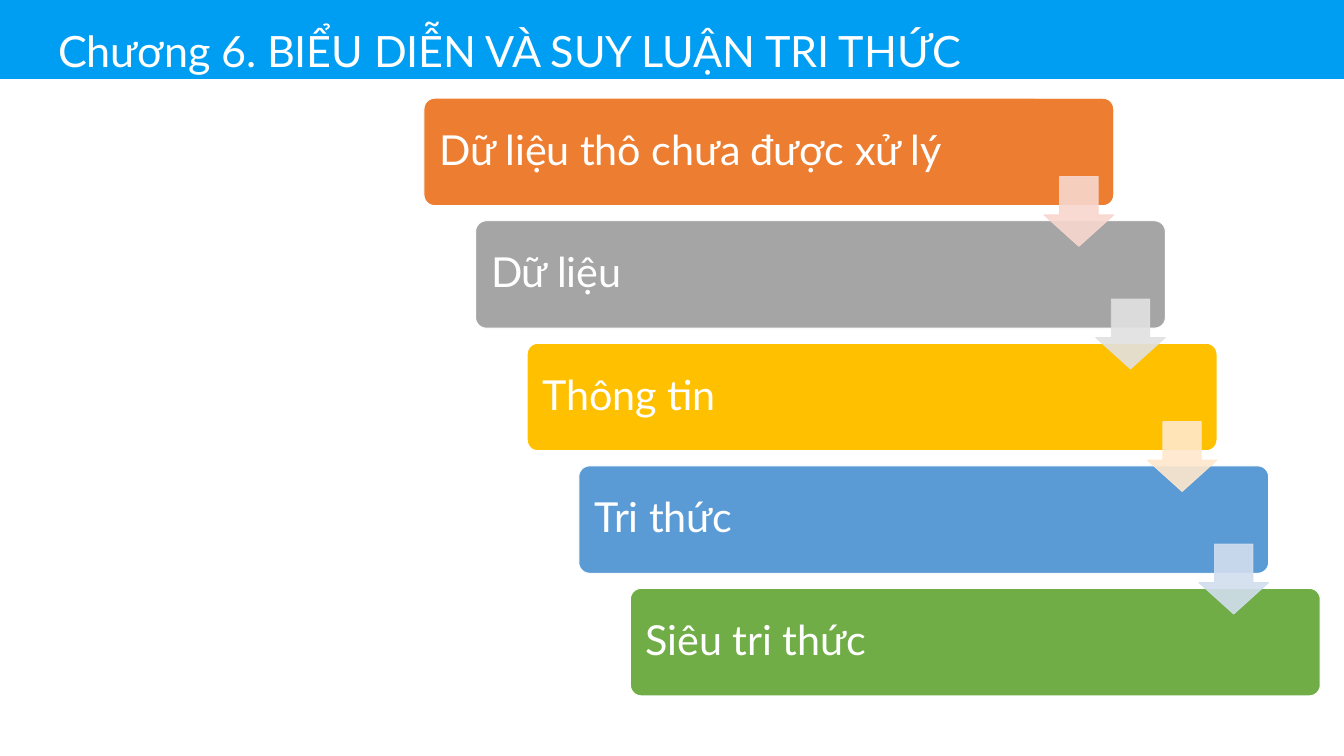
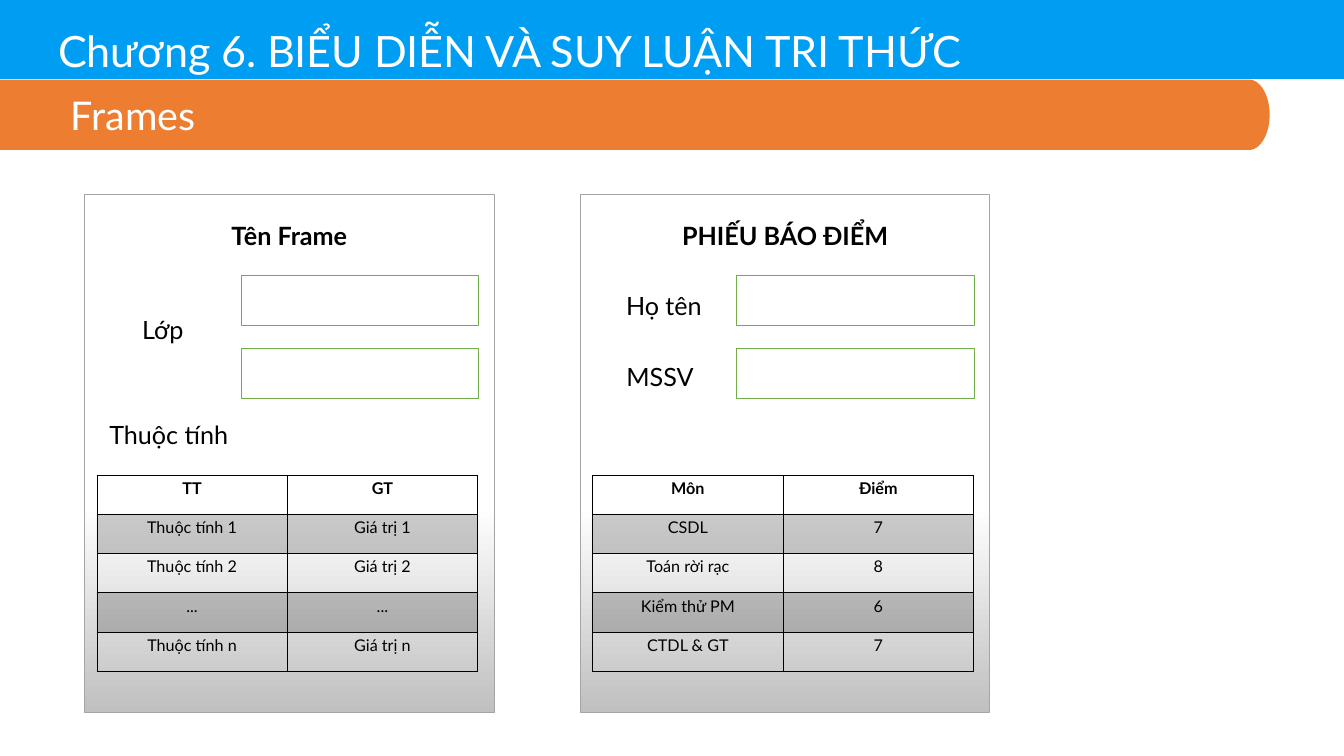
from dataclasses import dataclass
from math import cos, pi, sin

from lxml import etree
from pptx import Presentation
from pptx import util as u
from pptx.dml.color import RGBColor
from pptx.enum import shapes, text
from pptx.oxml.ns import qn


@dataclass(frozen=True)
class Theme:
    font: str = "Lato"
    band: str = "009EF3"
    accent: str = "ED7D31"
    white: str = "FFFFFF"
    ink: str = "000000"
    card_shade: str = "C0C0C0"
    card_line: str = "A5A5A5"
    field_line: str = "70AD47"
    title_size: int = 48
    step_size: int = 46
    topic_size: int = 44
    label_size: int = 28
    table_size: int = 18


THEME = Theme()
WIDTH, HEIGHT = u.Inches(20.79), u.Inches(11.69)

CHAPTER = "Chương 6. BIỂU DIỄN VÀ SUY LUẬN TRI THỨC"
TOPIC = "Frames"
STEPS = [
    ("Dữ liệu thô chưa được xử lý", THEME.accent, "F8D7CE"),
    ("Dữ liệu", "A5A5A5", "E1E1E1"),
    ("Thông tin", "FFC000", "FFE8CC"),
    ("Tri thức", "5B9BD5", "D2DEEF"),
    ("Siêu tri thức", "70AD47", None),
]
FRAMES = [
    {
        "heading": "Tên Frame",
        "labels": [("Lớp", 0.91, 41.15, 9.81), ("Thuộc tính", 0.87, 55.09, 10.77)],
        "rows": [
            ("TT", "GT"),
            ("Thuộc tính 1", "Giá trị 1"),
            ("Thuộc tính 2", "Giá trị 2"),
            ("...", "..."),
            ("Thuộc tính n", "Giá trị n"),
        ],
    },
    {
        "heading": "PHIẾU BÁO ĐIỂM",
        "labels": [("Họ tên", 1.3, 37.98, 9.81), ("MSSV", 1.01, 47.31, 9.81)],
        "rows": [
            ("Môn", "Điểm"),
            ("CSDL", "7"),
            ("Toán rời rạc", "8"),
            ("Kiểm thử PM", "6"),
            ("CTDL & GT", "7"),
        ],
    },
]


def across(share):
    return u.Emu(round(WIDTH * share / 100))


def down(share):
    return u.Emu(round(HEIGHT * share / 100))


def place(x, y, w, h):
    return across(x), down(y), across(w), down(h)


def rgb(color):
    return RGBColor.from_string(color)


def fade(colors, percent):
    for color in colors:
        etree.SubElement(color, qn("a:alpha")).set("val", str(percent * 1000))


def paint(shape, fill, line=None, weight=1):
    shape.shadow.inherit = False
    if fill:
        shape.fill.solid()
        shape.fill.fore_color.rgb = rgb(fill)
    if line:
        shape.line.color.rgb = rgb(line)
        shape.line.width = u.Pt(weight)
    else:
        shape.line.fill.background()


def write(frame, words, size, color, align=text.PP_ALIGN.LEFT, bold=False,
          tight=False, indent=0):
    paragraph = frame.paragraphs[0]
    paragraph.text = words
    paragraph.alignment = align
    if indent:
        paragraph._p.get_or_add_pPr().set("marL", str(indent))
    font = paragraph.font
    font.name, font.size, font.bold = THEME.font, u.Pt(size), bold
    font.color.rgb = rgb(color)
    if tight:
        paragraph._p.pPr.find(qn("a:defRPr")).set("spc", "-10")
    return paragraph


def inset(frame, left, top, right, bottom):
    frame.margin_left, frame.margin_top = u.Inches(left), u.Inches(top)
    frame.margin_right, frame.margin_bottom = u.Inches(right), u.Inches(bottom)


def add_box(slide, kind, area, fill, line=None, weight=1):
    box = slide.shapes.add_shape(kind, *place(*area))
    paint(box, fill, line, weight)
    return box


def add_label(slide, words, area, bold=False):
    frame = slide.shapes.add_textbox(*place(*area)).text_frame
    frame.word_wrap = True
    write(frame, words, THEME.label_size, THEME.ink, text.PP_ALIGN.CENTER, bold)


def new_slide(deck):
    slide = deck.slides.add_slide(deck.slide_layouts[6])
    add_box(slide, shapes.MSO_SHAPE.RECTANGLE, (0, 0, 100, 10.44), THEME.band)
    chapter = slide.shapes.add_textbox(*place(4.28, 2.99, 90.19, 7.01)).text_frame
    chapter.word_wrap = True
    inset(chapter, 0.01, 0.02, 0, 0)
    write(chapter, CHAPTER, THEME.title_size, THEME.white, tight=True)
    return slide


def add_staircase(slide):
    left, top, wide, high = 31.55, 13, 51.32, 14.2
    shift, drop = 3.84, 16.21
    arrow_wide, arrow_high, arrow_drop = 5.19, 9.24, 10.35
    for i, (words, fill, _) in enumerate(STEPS):
        area = (left + i * shift, top + i * drop, wide, high)
        step = add_box(slide, shapes.MSO_SHAPE.ROUNDED_RECTANGLE, area, fill, THEME.white)
        step.adjustments[0] = 0.1
        frame = step.text_frame
        frame.word_wrap = True
        frame.vertical_anchor = text.MSO_ANCHOR.MIDDLE
        inset(frame, 0.19, 0.19, 0.19, 0.19)
        write(frame, words, THEME.step_size, THEME.white, tight=True).line_spacing = 0.9
    for i, (_, _, tint) in enumerate(STEPS[:-1]):
        area = (left + i * shift + wide - arrow_wide, top + i * drop + arrow_drop,
                arrow_wide, arrow_high)
        arrow = add_box(slide, shapes.MSO_SHAPE.DOWN_ARROW, area, tint, tint)
        arrow.adjustments[0], arrow.adjustments[1] = 0.55, 0.45
        fade(list(arrow._element.spPr.iter(qn("a:srgbClr"))), 90)


def add_topic(slide):
    top, wide, high, bulge = 10.52, 94.47, 9.32, 1.54
    turns = [pi * i / 48 - pi / 2 for i in range(49)]
    rim = [(across(wide - bulge + bulge * cos(t)), down(top + high / 2 * (1 + sin(t))))
           for t in turns]
    outline = slide.shapes.build_freeform(0, down(top))
    outline.add_line_segments(rim + [(0, down(top + high))], close=True)
    ribbon = outline.convert_to_shape()
    paint(ribbon, THEME.accent)
    ribbon.text_frame.vertical_anchor = text.MSO_ANCHOR.MIDDLE
    write(ribbon.text_frame, TOPIC, THEME.topic_size, THEME.white, indent=u.Inches(1))


def border(cell, bottom):
    props = cell._tc.get_or_add_tcPr()
    for side, weight in (("L", 1), ("R", 1), ("T", 1), ("B", bottom)):
        edge = etree.SubElement(props, qn("a:ln" + side), w=str(u.Pt(weight)))
        solid = etree.SubElement(edge, qn("a:solidFill"))
        etree.SubElement(solid, qn("a:srgbClr"), val=THEME.ink)


def add_grid(slide, rows, area):
    table = slide.shapes.add_table(len(rows), len(rows[0]), *place(*area)).table
    table.first_row = table.horz_banding = False
    for r, values in enumerate(rows):
        for c, value in enumerate(values):
            cell = table.cell(r, c)
            border(cell, 2 if r == 0 else 1)
            if r % 2:
                cell.fill.solid()
                cell.fill.fore_color.rgb = rgb(THEME.ink)
                fade([cell._tc.tcPr.find(qn("a:solidFill"))[0]], 20)
            else:
                cell.fill.background()
            write(cell.text_frame, value, THEME.table_size, THEME.ink,
                  text.PP_ALIGN.CENTER, bold=r == 0)


def add_card(slide, frame, left):
    card = add_box(slide, shapes.MSO_SHAPE.RECTANGLE, (left, 25.75, 30.45, 68.43),
                   None, THEME.card_line, 0.5)
    card.fill.gradient()
    card.fill.gradient_angle = 270
    stops = ((0.6, THEME.white), (1, THEME.card_shade))
    for stop, (position, color) in zip(card.fill.gradient_stops, stops):
        stop.position, stop.color.rgb = position, rgb(color)
    add_label(slide, frame["heading"], (left + 2.79, 28.66, 24.87, 4.88), bold=True)
    for words, x, y, wide in frame["labels"]:
        add_label(slide, words, (left + x, y, wide, 4.88))
    for i in range(2):
        add_box(slide, shapes.MSO_SHAPE.RECTANGLE,
                (left + 11.64, 36.4 + i * 9.64, 17.65, 6.67),
                THEME.white, THEME.field_line)
    add_grid(slide, frame["rows"], (left + 0.91, 62.87, 28.33, 25.92))


def main():
    deck = Presentation()
    deck.slide_width, deck.slide_height = WIDTH, HEIGHT
    add_staircase(new_slide(deck))
    frames = new_slide(deck)
    add_topic(frames)
    for i, frame in enumerate(FRAMES):
        add_card(frames, frame, 6.3 + i * 36.89)
    deck.save("out.pptx")


if __name__ == "__main__":
    main()
